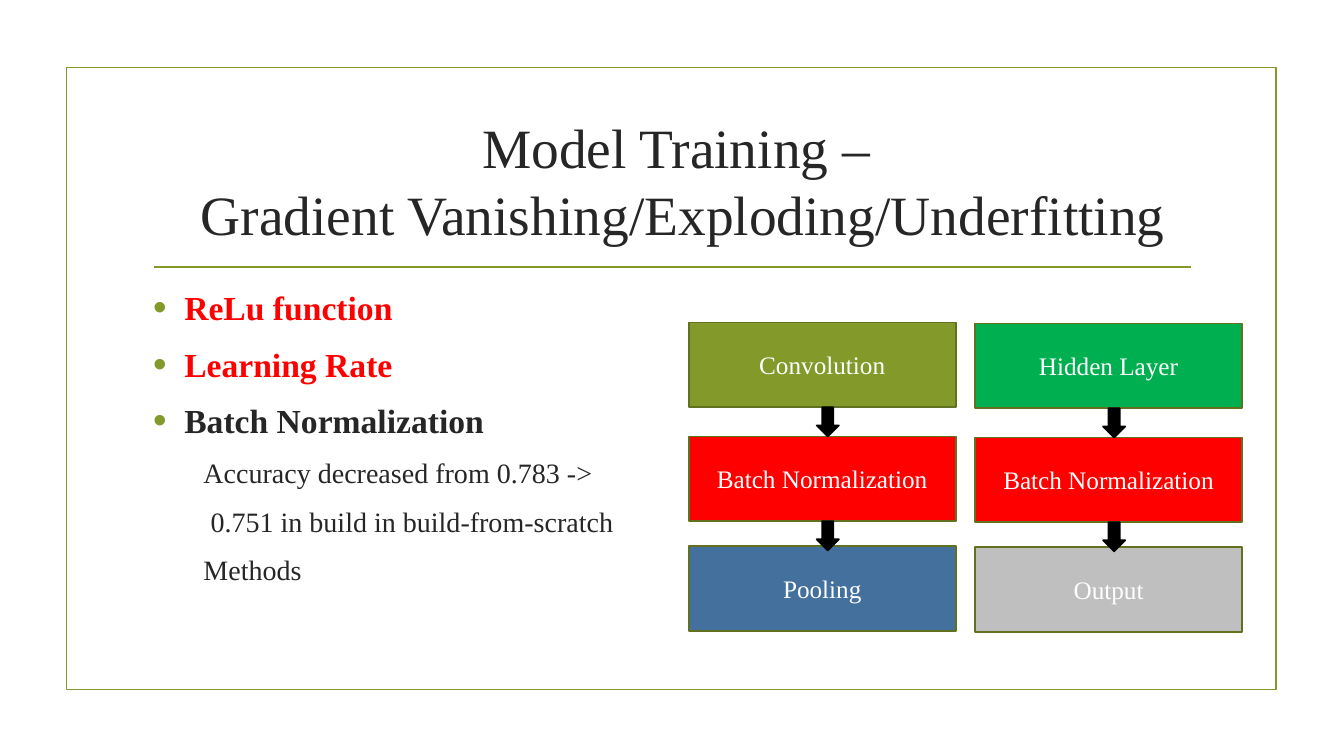
import pptx
import pptx.util
import pptx.dml.color
import pptx.enum.shapes
import pptx.enum.text
from lxml import etree

Inches, Pt = pptx.util.Inches, pptx.util.Pt
RGBColor = pptx.dml.color.RGBColor
MSO_SHAPE = pptx.enum.shapes.MSO_SHAPE
PP_ALIGN = pptx.enum.text.PP_ALIGN
MSO_ANCHOR = pptx.enum.text.MSO_ANCHOR

FONT = "Times New Roman"
OLIVE = RGBColor(0x83, 0x99, 0x2A)
DARK_OLIVE = RGBColor(0x61, 0x71, 0x1F)
CHARCOAL = RGBColor(0x26, 0x26, 0x26)
RED = RGBColor(0xFF, 0x00, 0x00)
BLUE = RGBColor(0x44, 0x70, 0x9D)
GREEN = RGBColor(0x00, 0xB0, 0x50)
GRAY = RGBColor(0xBF, 0xBF, 0xBF)
WHITE = RGBColor(0xFF, 0xFF, 0xFF)
BLACK = RGBColor(0x00, 0x00, 0x00)

TITLE = "Model Training – \vGradient Vanishing/Exploding/Underfitting"
TOPICS = [("ReLu function", RED), ("Learning Rate", RED), ("Batch Normalization", CHARCOAL)]
# text, left indent in inches
FINDINGS = [
    ("Accuracy decreased from 0.783 ->", 0.5),
    ("0.751 in build in build-from-scratch", 0.57),
    ("Methods", 0.5),
]
# left, top offset, layers from top to bottom
PIPELINES = [
    (6.83, 0, [("Convolution", OLIVE), ("Batch Normalization", RED), ("Pooling", BLUE)]),
    (9.67, 0.01, [("Hidden Layer", GREEN), ("Batch Normalization", RED), ("Output", GRAY)]),
]
LAYER_TOPS = [3.2, 4.33, 5.42]
LAYER_W, LAYER_H = 2.65, 0.84
ARROW_W, ARROW_H, ARROW_OFFSET = 0.22, 0.29, 1.27


def style(paragraph, size, color, bold=False):
    font = paragraph.font
    font.name, font.size, font.bold = FONT, Pt(size), bold
    font.color.rgb = color
    for run in paragraph.runs:
        run.font.name, run.font.size, run.font.bold = FONT, Pt(size), bold
        run.font.color.rgb = color


def add_box(slide, kind, left, top, width, height, fill, line):
    box = slide.shapes.add_shape(kind, Inches(left), Inches(top), Inches(width), Inches(height))
    box.shadow.inherit = False
    if fill is None:
        box.fill.background()
    else:
        box.fill.solid()
        box.fill.fore_color.rgb = fill
    box.line.color.rgb = line
    box.line.width = Pt(1.25)
    return box


def add_text_frame(slide, left, top, width, height):
    frame = slide.shapes.add_textbox(
        Inches(left), Inches(top), Inches(width), Inches(height)).text_frame
    frame.word_wrap = True
    return frame


def add_bullet(paragraph):
    props = paragraph._p.get_or_add_pPr()
    ns = pptx.oxml.ns.qn
    color = etree.SubElement(props, ns("a:buClr"))
    etree.SubElement(color, ns("a:srgbClr"), val=str(OLIVE))
    etree.SubElement(props, ns("a:buSzPct"), val="115000")
    etree.SubElement(props, ns("a:buFont"), typeface="Arial")
    etree.SubElement(props, ns("a:buChar"), char="•")


def set_indent(paragraph, left, first=0):
    props = paragraph._p.get_or_add_pPr()
    props.set("marL", str(Inches(left)))
    props.set("indent", str(Inches(first)))


def add_heading(slide):
    add_box(slide, MSO_SHAPE.RECTANGLE, 0.66, 0.67, 12, 6.17, None, OLIVE)
    rule = slide.shapes.add_connector(
        pptx.enum.shapes.MSO_CONNECTOR.STRAIGHT,
        Inches(1.53), Inches(2.65), Inches(11.81), Inches(2.65))
    rule.line.color.rgb = OLIVE
    rule.line.width = Pt(1.25)
    etree.SubElement(rule._element.spPr, pptx.oxml.ns.qn("a:effectLst"))

    frame = add_text_frame(slide, 0.9, 1.07, 11.75, 1.43)
    frame.vertical_anchor = MSO_ANCHOR.MIDDLE
    title = frame.paragraphs[0]
    title.text = TITLE
    title.alignment = PP_ALIGN.CENTER
    style(title, 39.6, CHARCOAL)


def add_body(slide):
    frame = add_text_frame(slide, 1.42, 2.8, 10.5, 3.63)
    for i, (text, color) in enumerate(TOPICS):
        topic = frame.add_paragraph() if i else frame.paragraphs[0]
        topic.text = text
        set_indent(topic, 0.31, -0.31)
        topic.space_before = Pt(5.5 if i else 0)
        topic.space_after = Pt(6)
        add_bullet(topic)
        style(topic, 24, color, bold=True)
    for text, indent in FINDINGS:
        finding = frame.add_paragraph()
        finding.text = text
        finding.level = 1
        set_indent(finding, indent)
        finding.space_before = Pt(4.75)
        finding.space_after = Pt(6)
        style(finding, 20, CHARCOAL)


def add_pipeline(slide, left, offset, layers):
    for (name, fill), layer_top in zip(layers, LAYER_TOPS):
        layer = add_box(slide, MSO_SHAPE.RECTANGLE, left, layer_top + offset,
                        LAYER_W, LAYER_H, fill, DARK_OLIVE)
        layer.text_frame.text = name
        layer.text_frame.word_wrap = True
        layer.text_frame.vertical_anchor = MSO_ANCHOR.MIDDLE
        label = layer.text_frame.paragraphs[0]
        label.alignment = PP_ALIGN.CENTER
        style(label, 18, WHITE)
    for layer_top in LAYER_TOPS[:-1]:
        add_box(slide, MSO_SHAPE.DOWN_ARROW, left + ARROW_OFFSET,
                layer_top + offset + LAYER_H, ARROW_W, ARROW_H, BLACK, BLACK)


def main():
    deck = pptx.Presentation()
    deck.slide_width, deck.slide_height = Inches(13.33), Inches(7.5)
    slide = deck.slides.add_slide(deck.slide_layouts[6])
    add_heading(slide)
    add_body(slide)
    for left, offset, layers in PIPELINES:
        add_pipeline(slide, left, offset, layers)
    deck.save("out.pptx")


if __name__ == "__main__":
    main()
